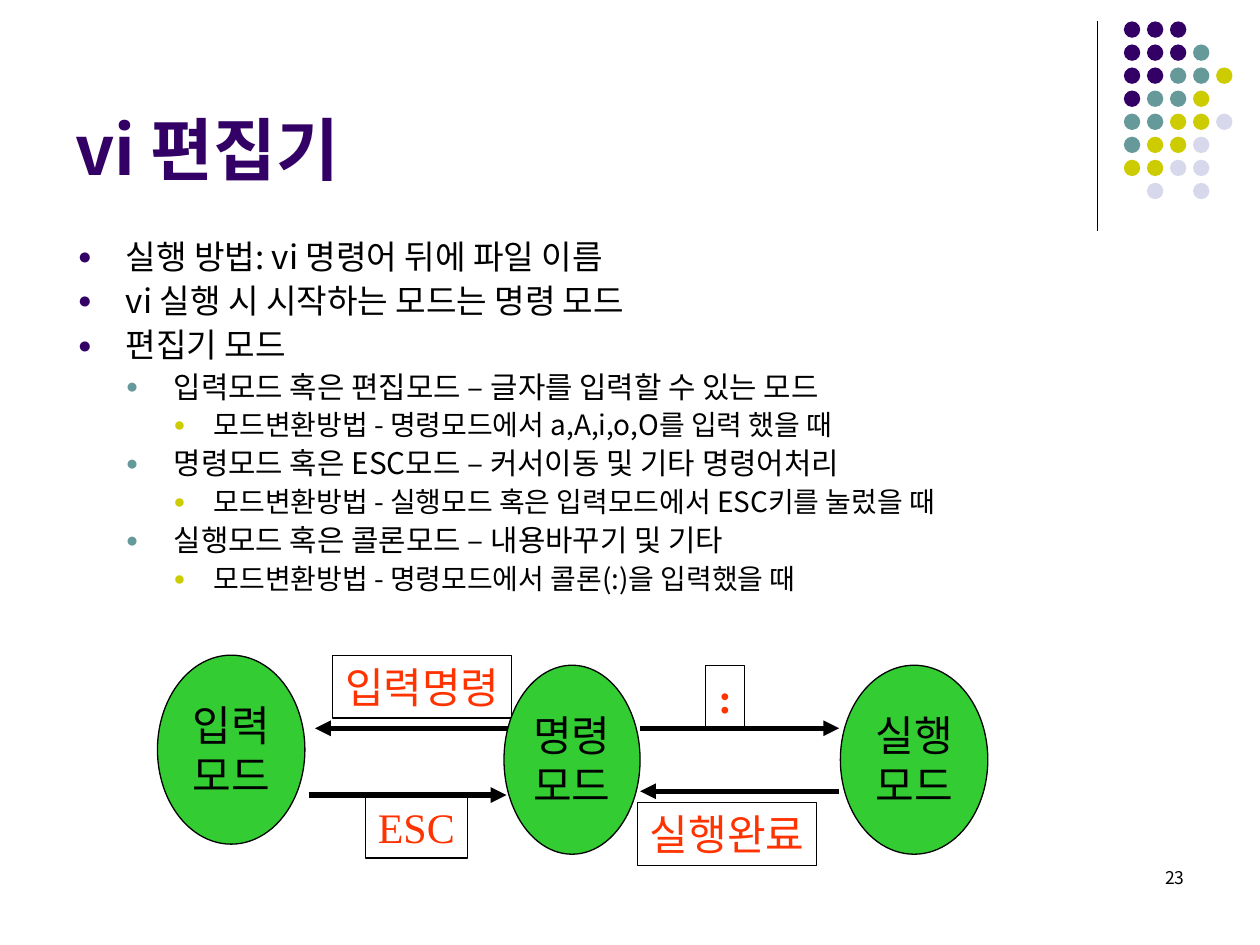
from dataclasses import dataclass

from lxml.etree import SubElement
from pptx import Presentation
from pptx.dml.color import RGBColor
from pptx.enum.shapes import MSO_CONNECTOR, MSO_SHAPE
from pptx.enum.text import MSO_ANCHOR, PP_ALIGN
from pptx.oxml.ns import qn
from pptx.util import Inches, Pt


@dataclass(frozen=True)
class Theme:
    purple: str = "330066"
    teal: str = "669999"
    olive: str = "CCCC00"
    lilac: str = "D8D8EC"
    green: str = "33CC33"
    red: str = "FF3300"
    black: str = "000000"
    korean: str = "Noto Sans CJK KR"
    serif: str = "Times New Roman"
    sans: str = "Arial"
    title_size: int = 39
    diagram_size: int = 24
    number_size: int = 10
    thin: float = 0.75
    thick: float = 3


THEME = Theme()

# Per outline level: text size, left indent, hanging indent, space before, bullet colour
LEVELS = [
    (19, 0.38, 0.38, 4.8, THEME.purple),
    (17, 0.76, 0.38, 4.2, THEME.teal),
    (16, 1.08, 0.32, 4, THEME.olive),
]

OUTLINE = [
    (0, "실행 방법: vi 명령어 뒤에 파일 이름"),
    (0, "vi 실행 시 시작하는 모드는 명령 모드"),
    (0, "편집기 모드"),
    (1, "입력모드 혹은 편집모드 – 글자를 입력할 수 있는 모드"),
    (2, "모드변환방법 - 명령모드에서 a,A,i,o,O를 입력 했을 때"),
    (1, "명령모드 혹은 ESC모드 – 커서이동 및 기타 명령어처리"),
    (2, "모드변환방법 - 실행모드 혹은 입력모드에서 ESC키를 눌렀을 때"),
    (1, "실행모드 혹은 콜론모드 – 내용바꾸기 및 기타"),
    (2, "모드변환방법 - 명령모드에서 콜론(:)을 입력했을 때"),
]

DOT_COLOURS = {"P": THEME.purple, "T": THEME.teal, "O": THEME.olive, "L": THEME.lilac}
DOT_ROWS = ["PPP", "PPPT", "PPTTO", "PTTO", "TTOOL", "TOOL", "OOLL", " L L"]


def add_run(paragraph, text, size, colour, font_name, bold=False):
    run = paragraph.add_run()
    run.text = text
    font = run.font
    font.size, font.bold, font.name = Pt(size), bold, font_name
    font.color.rgb = RGBColor.from_string(colour)
    east_asian = SubElement(run._r.get_or_add_rPr(), qn("a:ea"))
    east_asian.set("typeface", THEME.korean)


def add_text_box(slide, box, anchor=MSO_ANCHOR.TOP):
    frame = slide.shapes.add_textbox(*map(Inches, box)).text_frame
    frame.word_wrap = True
    frame.vertical_anchor = anchor
    return frame


def set_outline(shape):
    shape.line.color.rgb = RGBColor.from_string(THEME.black)
    shape.line.width = Pt(THEME.thin)


def add_oval(slide, box, fill, outlined=False):
    oval = slide.shapes.add_shape(MSO_SHAPE.OVAL, *map(Inches, box))
    oval.shadow.inherit = False
    oval.fill.solid()
    oval.fill.fore_color.rgb = RGBColor.from_string(fill)
    if outlined:
        set_outline(oval)
    else:
        oval.line.fill.background()
    return oval


def add_line(slide, start, end, width, arrow=False):
    line = slide.shapes.add_connector(
        MSO_CONNECTOR.STRAIGHT, *map(Inches, (*start, *end)))
    line.line.color.rgb = RGBColor.from_string(THEME.black)
    line.line.width = Pt(width)
    if arrow:
        SubElement(line.line._get_or_add_ln(), qn("a:tailEnd")).set("type", "triangle")
    SubElement(line._element.spPr, qn("a:effectLst"))


def add_bullet(paragraph, level):
    _, left, hanging, _, colour = LEVELS[level]
    properties = paragraph._p.get_or_add_pPr()
    properties.set("marL", str(Inches(left)))
    properties.set("indent", str(-Inches(hanging)))
    bullet_colour = SubElement(properties, qn("a:buClr"))
    SubElement(bullet_colour, qn("a:srgbClr")).set("val", colour)
    SubElement(properties, qn("a:buSzPct")).set("val", "70000")
    SubElement(properties, qn("a:buFont")).set("typeface", THEME.sans)
    SubElement(properties, qn("a:buChar")).set("char", "●")


def add_outline(slide, box):
    frame = add_text_box(slide, box)
    for index, (level, text) in enumerate(OUTLINE):
        paragraph = frame.add_paragraph() if index else frame.paragraphs[0]
        size, _, _, space_before, _ = LEVELS[level]
        paragraph.level = level
        add_bullet(paragraph, level)
        paragraph.line_spacing = 0.9
        paragraph.space_before = Pt(space_before if index else 0)
        before, dash, after = text.partition("–")
        add_run(paragraph, before, size, THEME.black, THEME.korean)
        if dash:
            add_run(paragraph, dash, size, THEME.black, THEME.sans)
            add_run(paragraph, after, size, THEME.black, THEME.korean)


def add_dots(slide, left, top, pitch, diameter):
    for row, codes in enumerate(DOT_ROWS):
        for column, code in enumerate(codes):
            if code in DOT_COLOURS:
                box = (left + column * pitch, top + row * pitch, diameter, diameter)
                add_oval(slide, box, DOT_COLOURS[code])


def add_mode(slide, box, lines):
    frame = add_oval(slide, box, THEME.green, outlined=True).text_frame
    frame.word_wrap = False
    frame.vertical_anchor = MSO_ANCHOR.MIDDLE
    for index, text in enumerate(lines):
        paragraph = frame.add_paragraph() if index else frame.paragraphs[0]
        paragraph.alignment = PP_ALIGN.CENTER
        add_run(paragraph, text, THEME.diagram_size, THEME.black, THEME.serif)


def add_label(slide, box, text, bold=False):
    label = slide.shapes.add_textbox(*map(Inches, box))
    set_outline(label)
    frame = label.text_frame
    frame.word_wrap = False
    frame.margin_right = Inches(0.05)  # spare room keeps the label on one line
    add_run(frame.paragraphs[0], text, THEME.diagram_size, THEME.red, THEME.serif, bold)


def add_diagram(slide):
    # Transitions between the modes: start x, end x, y
    for start, end, y in [(4.07, 2.5, 5.78), (2.45, 4.02, 6.31),
                          (6.66, 5.08, 6.28), (5.08, 6.66, 5.78)]:
        add_line(slide, (start, y), (end, y), THEME.thick, arrow=True)
    # What triggers each transition
    for left, top, width, text in [(2.9, 6.31, 0.81, "ESC"), (5.6, 5.28, 0.31, ":"),
                                   (2.64, 5.2, 1.42, "입력명령"),
                                   (5.06, 6.37, 1.42, "실행완료")]:
        add_label(slide, (left, top, width, 0.5), text, bold=text == ":")
    # Modes
    for left, top, width, name in [(6.67, 5.28, 1.17, "실행"), (4, 5.28, 1.08, "명령"),
                                   (1.25, 5.2, 1.17, "입력")]:
        add_mode(slide, (left, top, width, 1.5), [name, "모드"])


def main():
    presentation = Presentation()
    presentation.slide_width, presentation.slide_height = Inches(10), Inches(7.5)
    slide = presentation.slides.add_slide(presentation.slide_layouts[6])

    # Corner decoration
    add_line(slide, (8.71, 0.17), (8.71, 1.83), THEME.thin)
    add_dots(slide, left=8.92, top=0.17, pitch=0.183, diameter=0.13)

    # Slide number
    number = add_text_box(slide, (7.17, 6.83, 2.33, 0.5)).paragraphs[0]
    number.alignment = PP_ALIGN.RIGHT
    add_run(number, "23", THEME.number_size, THEME.black, THEME.korean)

    # Outline, diagram and title
    add_outline(slide, (0.52, 1.86, 9, 4.49))
    add_diagram(slide)
    title = add_text_box(slide, (0.5, 0.13, 8.25, 1.42), MSO_ANCHOR.BOTTOM).paragraphs[0]
    add_run(title, "vi 편집기", THEME.title_size, THEME.purple, THEME.korean, bold=True)

    presentation.save("out.pptx")


if __name__ == "__main__":
    main()
